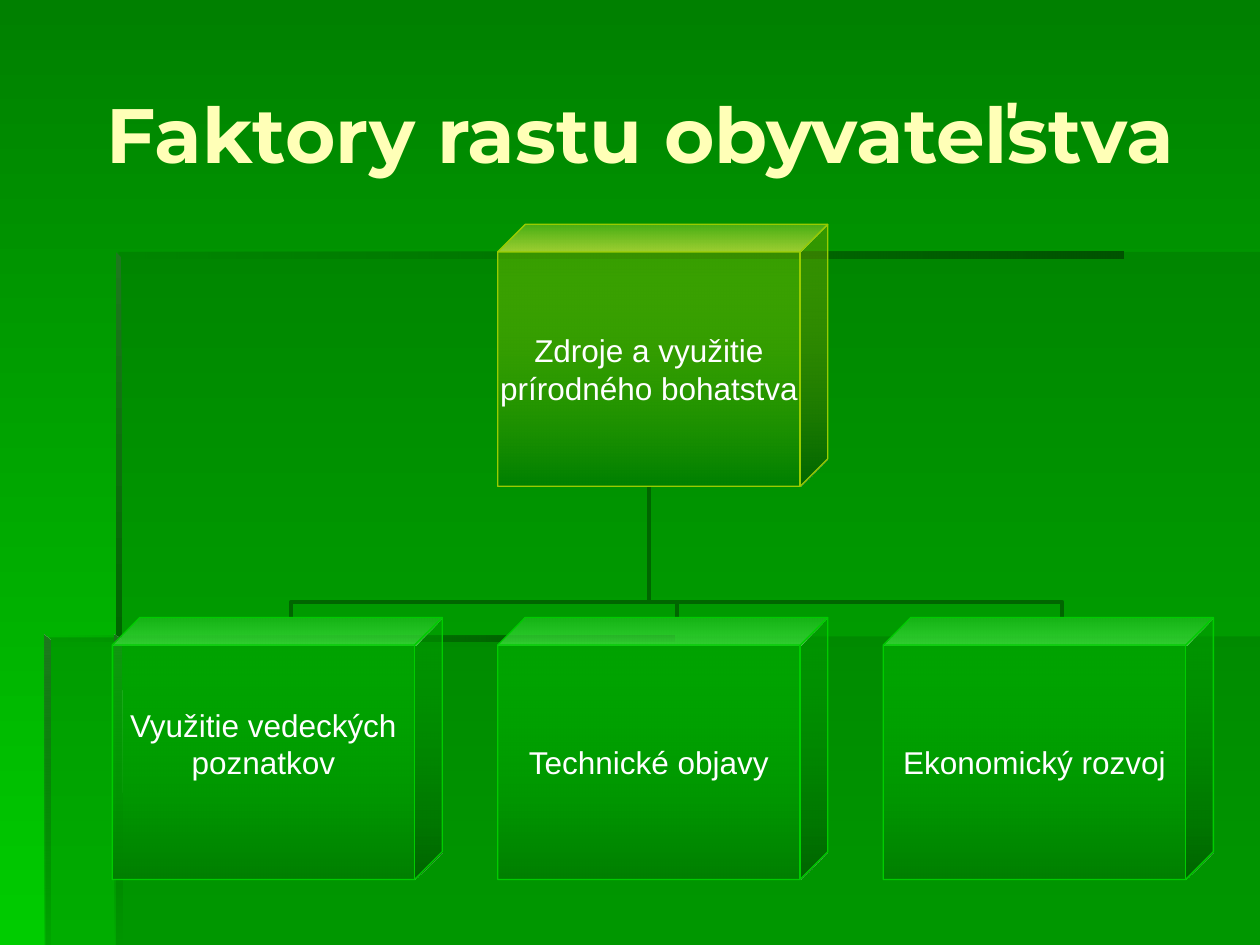
"""Build a slide with a small tree of cubes on a green stepped backdrop."""
from lxml import etree
from pptx import Presentation
from pptx import util as u
from pptx.dml.color import RGBColor
from pptx.enum import shapes, text
from pptx.oxml.ns import qn

HUES = {
    "deep": "006600", "dark": "005300", "moss": "1E781E", "leaf": "008000",
    "lush": "00CC00", "lime": "99CC00", "cream": "FFFFB7", "white": "FFFFFF",
}
TITLE = {"size": u.Pt(44), "name": "Montserrat", "bold": True}
LABEL = {"size": u.Pt(18), "name": "Arial", "bold": False}
FRAME = {"vertical_anchor": text.MSO_ANCHOR.MIDDLE, "auto_size": text.MSO_AUTO_SIZE.NONE}
LEFT, TOP, STEP, DROP = 0.89, 1.78, 3.06, 3.12
WIDE, HIGH, DEPTH = 2.62, 2.08, 0.22
LINE = 0.3


def rgb(hue):
    return RGBColor.from_string(HUES[hue])


def put(item, form):
    for key, value in form.items():
        setattr(item, key, value)


def box(left, top, right, low):
    return [(left, top), (left, low), (right, low), (right, top)]


class Deck:
    """Hold the style and the current slide, on a grid of one-inch squares."""

    def __init__(self):
        self.show = Presentation()
        put(self.show, {"slide_width": u.Inches(10), "slide_height": u.Inches(7.5)})
        self.slide = self.show.slides.add_slide(self.show.slide_layouts[5])
        self.items = self.slide.shapes

    def paint(self, fill, node, stops, angle=0):
        if len(stops) == 1:
            fill.solid()
            fill.fore_color.rgb = rgb(stops[0][0])
        else:
            fill.gradient()
            fill.gradient_angle = -angle % 360
            for stop, (hue, _) in zip(fill.gradient_stops, stops):
                stop.color.rgb = rgb(hue)
        for clr, (_, share) in zip(node.iter(qn("a:srgbClr")), stops):
            if share < 100:
                etree.SubElement(clr, qn("a:alpha"), val=str(share * 1000))

    def back(self, *stops):
        fill = self.slide.background.fill
        self.paint(fill, self.slide.element, stops, 90)

    def panel(self, points, *stops, angle=90):
        spots = [(u.Inches(x), u.Inches(y)) for x, y in points]
        pen = self.items.build_freeform(*spots[0])
        pen.add_line_segments(spots[1:], close=True)
        shape = pen.convert_to_shape()
        shape.shadow.inherit = False
        self.paint(shape.fill, shape.element, stops, angle)
        shape.line.fill.background()

    def label(self, frame, lines, form, hue):
        put(frame, FRAME)
        frame.text = "\n".join(lines)
        for para in frame.paragraphs:
            para.alignment = text.PP_ALIGN.CENTER
            put(para.font, form)
            para.font.color.rgb = rgb(hue)

    def title(self, words):
        head = self.items.title
        put(head, {"left": u.Inches(0.5), "top": u.Inches(0.27),
                   "width": u.Inches(9.17), "height": u.Inches(1.57)})
        head.text_frame.word_wrap = True
        self.label(head.text_frame, [words], TITLE, "cream")

    def cube(self, col, row, hue, *lines, lift=0):
        spot = LEFT + col * STEP, TOP + row * DROP, WIDE, HIGH
        shape = self.items.add_shape(shapes.MSO_SHAPE.CUBE, *map(u.Inches, spot))
        shape.adjustments[0] = DEPTH / HIGH
        shape.shadow.inherit = False
        self.paint(shape.fill, shape.element, [(hue, 40), ("leaf", 100)], 90)
        shape.line.color.rgb = rgb(hue)
        shape.line.width = u.Pt(0.75)
        frame = shape.text_frame
        put(frame, {"margin_left": 0, "margin_right": 0, "margin_top": 0,
                    "margin_bottom": u.Inches(lift), "word_wrap": False})
        self.label(frame, lines, LABEL, "white")

    def link(self, col, root=1):
        start = LEFT + col * STEP + (WIDE + DEPTH) / 2
        end = LEFT + root * STEP + (WIDE - DEPTH) / 2
        rise, run = DROP - HIGH, abs(end - start)
        side = 1 if start < end else -1
        x, y = (start + end) / 2, TOP + HIGH + rise / 2
        ends = (x + side * rise / 2, y + run / 2, x - side * rise / 2, y - run / 2)
        line = self.items.add_connector(shapes.MSO_CONNECTOR.ELBOW, *map(u.Inches, ends))
        line.line.color.rgb = rgb("deep")
        line.line.width = u.Pt(2.25)
        props = line.element.spPr
        props.find(qn("a:xfrm")).set("rot", str(side * 90 % 360 * 60000))
        guides = props.find(qn("a:prstGeom")).get_or_add_avLst()
        etree.SubElement(guides, qn("a:gd"), name="adj1", fmla="val 11900")
        etree.SubElement(props, qn("a:effectLst"))


def main():
    deck = Deck()
    deck.back(("leaf", 100), ("lush", 100))
    veil, fade = ("deep", 30), ("deep", 0)
    dark, moss = ("dark", 100), ("moss", 100)
    deck.panel(box(0.92, 5.05, 10, 7.5), veil)
    deck.panel([(0.94, 5.06), (0.36, 5.06), (0.36, 7.5), (10, 7.5), (10, 2), (0.94, 2)], veil)
    deck.panel(box(0.92, 2, 8.92, 2.05), dark, fade, angle=180)
    deck.panel([(0.92, 2), (0.92, 5.1), (0.97, 5.1), (0.96, 2.04)], moss, ("deep", 100))
    deck.panel([(0.91, 7.5), (0.97, 7.5), (0.96, 5.08), (0.91, 5.04)], moss, fade)
    deck.panel(box(0.35, 5.04, 5.35, 5.09), dark, fade, angle=180)
    deck.panel([(0.35, 5.04), (0.35, 7.5), (0.4, 7.5), (0.4, 5.09)], moss, ("deep", 10))
    deck.title("Faktory rastu obyvateľstva")
    for col in (2, 1, 0):
        deck.link(col)
    deck.cube(1, 0, "lime", "Zdroje a využitie", "prírodného bohatstva")
    deck.cube(0, 1, "lush", "Využitie vedeckých", "poznatkov", lift=LINE)
    deck.cube(1, 1, "lush", "Technické objavy")
    deck.cube(2, 1, "lush", "Ekonomický rozvoj")
    deck.show.save("out.pptx")


if __name__ == "__main__":
    main()
